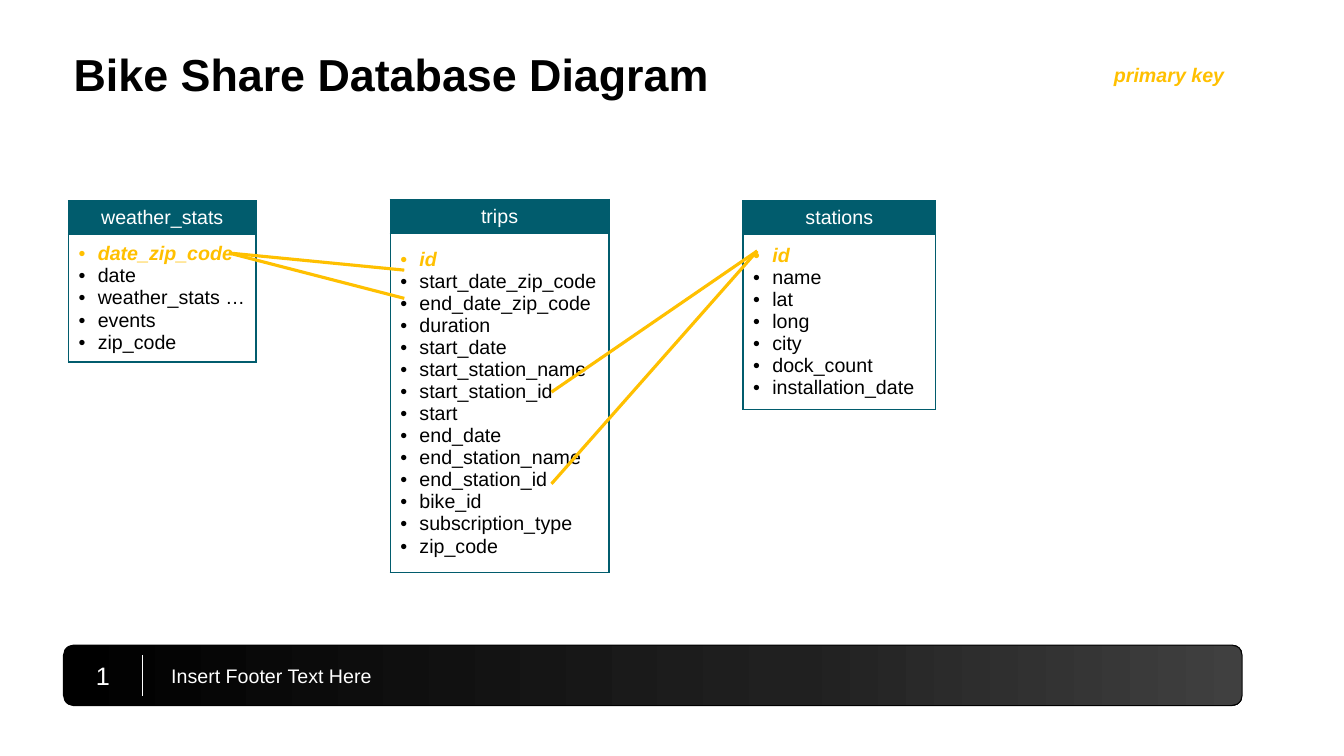
from lxml import etree
from copy import deepcopy
from pptx import Presentation
from pptx.dml.color import RGBColor
from pptx.enum.shapes import MSO_CONNECTOR, MSO_SHAPE
from pptx.enum.text import MSO_ANCHOR, PP_ALIGN
from pptx.oxml.ns import qn
from pptx.util import Inches, Pt

STRAIGHT = MSO_CONNECTOR.STRAIGHT
ROUNDED = MSO_SHAPE.ROUNDED_RECTANGLE
MIDDLE = MSO_ANCHOR.MIDDLE
LEFT, CENTER = PP_ALIGN.LEFT, PP_ALIGN.CENTER
FONT = "Arial"
BLACK, WHITE, TEAL, GOLD = "000000", "FFFFFF", "015C6D", "FFC000"
HEADER_HEIGHT, LINE_HEIGHT, CELL_PADDING = 0.32, 0.22, 0.1

ENTITIES = [
    ((0.68, 1.99, 1.86), "weather_stats",
     ["date_zip_code", "date", "weather_stats …", "events", "zip_code"]),
    ((3.87, 1.98, 2.17), "trips",
     ["id", "start_date_zip_code", "end_date_zip_code", "duration", "start_date",
      "start_station_name", "start_station_id", "start", "end_date",
      "end_station_name", "end_station_id", "bike_id", "subscription_type",
      "zip_code"]),
    ((7.37, 1.99, 1.91), "stations",
     ["id", "name", "lat", "long", "city", "dock_count", "installation_date"]),
]
RELATIONS = [
    ((7.51, 2.49), [(5.47, 3.89), (5.47, 4.8)]),
    ((2.27, 2.51), [(4.01, 2.68), (4.01, 2.96)]),
]


def rgb(value):
    return RGBColor.from_string(value)


def inches(*values):
    return [Inches(value) for value in values]


def format_text(paragraph, size, color, bold=False, italic=False, align=LEFT):
    paragraph.alignment = align
    for run in paragraph.runs:
        font = run.font
        font.name, font.size = FONT, Pt(size)
        font.bold, font.italic = bold, italic
        font.color.rgb = rgb(color)


def indent(paragraph, margin, first=0.0):
    properties = paragraph._p.get_or_add_pPr()
    properties.set("marL", str(Inches(margin)))
    properties.set("indent", str(Inches(first)))
    return properties


def add_bullet(paragraph):
    properties = indent(paragraph, 0.19, -0.19)
    etree.SubElement(properties, qn("a:buFont")).set("typeface", FONT)
    etree.SubElement(properties, qn("a:buChar")).set("char", "•")


def add_borders(cell, color):
    properties = cell._tc.get_or_add_tcPr()
    for side in ("a:lnL", "a:lnR", "a:lnT", "a:lnB"):
        border = etree.SubElement(properties, qn(side), w=str(Pt(1)))
        fill = etree.SubElement(border, qn("a:solidFill"))
        etree.SubElement(fill, qn("a:srgbClr")).set("val", color)


def add_line(slide, start, end, color, width):
    line = slide.shapes.add_connector(STRAIGHT, *inches(*start, *end))
    line.line.color.rgb = rgb(color)
    line.line.width = Pt(width)
    etree.SubElement(line._element.spPr, qn("a:effectLst"))


def add_label(slide, box, text):
    frame = slide.shapes.add_textbox(*inches(*box)).text_frame
    frame.word_wrap = True
    frame.text = text
    return frame


def add_title(slide, box):
    title = slide.shapes.title
    title.left, title.top, title.width, title.height = inches(*box)
    frame = title.text_frame
    frame.text = "Bike Share Database Diagram"
    frame.vertical_anchor = MIDDLE
    frame.paragraphs[0].line_spacing = 0.9
    format_text(frame.paragraphs[0], 32, BLACK, bold=True)


def add_legend(slide, box):
    frame = add_label(slide, box, "primary key")
    format_text(frame.paragraphs[0], 14, GOLD, bold=True, italic=True)


def add_entity(slide, box, name, fields):
    left, top, width = box
    body_height = len(fields) * LINE_HEIGHT + CELL_PADDING
    table = slide.shapes.add_table(
        2, 1, *inches(left, top, width, HEADER_HEIGHT + body_height)).table
    table.first_row = table.horz_banding = False
    table.rows[0].height, table.rows[1].height = inches(HEADER_HEIGHT, body_height)
    header, body = table.cell(0, 0), table.cell(1, 0)
    for cell, text in ((header, name), (body, "\n".join(fields))):
        add_borders(cell, TEAL)
        cell.vertical_anchor = MIDDLE
        cell.text_frame.text = text
    header.fill.solid()
    header.fill.fore_color.rgb = rgb(TEAL)
    body.fill.background()
    format_text(header.text_frame.paragraphs[0], 14, WHITE, align=CENTER)
    for index, paragraph in enumerate(body.text_frame.paragraphs):
        is_key = index == 0
        add_bullet(paragraph)
        format_text(paragraph, 14, GOLD if is_key else BLACK, is_key, is_key)


def add_footer(slide, box):
    left, top, width, height = box
    number_width, divider_gap = 0.78, 0.1
    bar = slide.shapes.add_shape(ROUNDED, *inches(*box))
    bar.shadow.inherit = False
    bar.line.color.rgb = rgb(BLACK)
    bar.line.width = Pt(0.75)
    bar.fill.gradient()
    bar.fill.gradient_angle = 0
    first_stop = bar.fill.gradient_stops[0]._gs
    first_stop.addnext(deepcopy(first_stop))
    shades = ((0, BLACK), (0.62, "202020"), (1, "404040"))
    for stop, (position, shade) in zip(bar.fill.gradient_stops, shades):
        stop.position = position
        stop.color.rgb = rgb(shade)
    bar.text_frame.text = "Insert Footer Text Here"
    bar.text_frame.vertical_anchor = MIDDLE
    footer_text = bar.text_frame.paragraphs[0]
    indent(footer_text, 0.94)
    format_text(footer_text, 14, WHITE)

    divider = left + number_width
    add_line(slide, (divider, top + divider_gap),
             (divider, top + height - divider_gap), WHITE, 0.5)
    number = add_label(slide, (left, top, number_width, height), "1")
    number.margin_left = number.margin_right = 0
    number.margin_top = number.margin_bottom = 0
    number.vertical_anchor = MIDDLE
    format_text(number.paragraphs[0], 18, WHITE, align=CENTER)


def build_diagram_slide(presentation):
    slide = presentation.slides.add_slide(presentation.slide_layouts[5])
    add_title(slide, (0.63, 0.46, 11.92, 0.61))
    add_footer(slide, (0.63, 6.4, 11.69, 0.6))
    for box, name, fields in ENTITIES:
        add_entity(slide, box, name, fields)
    for key, references in RELATIONS:
        for reference in references:
            add_line(slide, key, reference, GOLD, 2.25)
    add_legend(slide, (10.95, 0.58, 2.04, 0.34))


presentation = Presentation()
presentation.slide_width, presentation.slide_height = inches(13.33, 7.5)
build_diagram_slide(presentation)
presentation.save("out.pptx")
